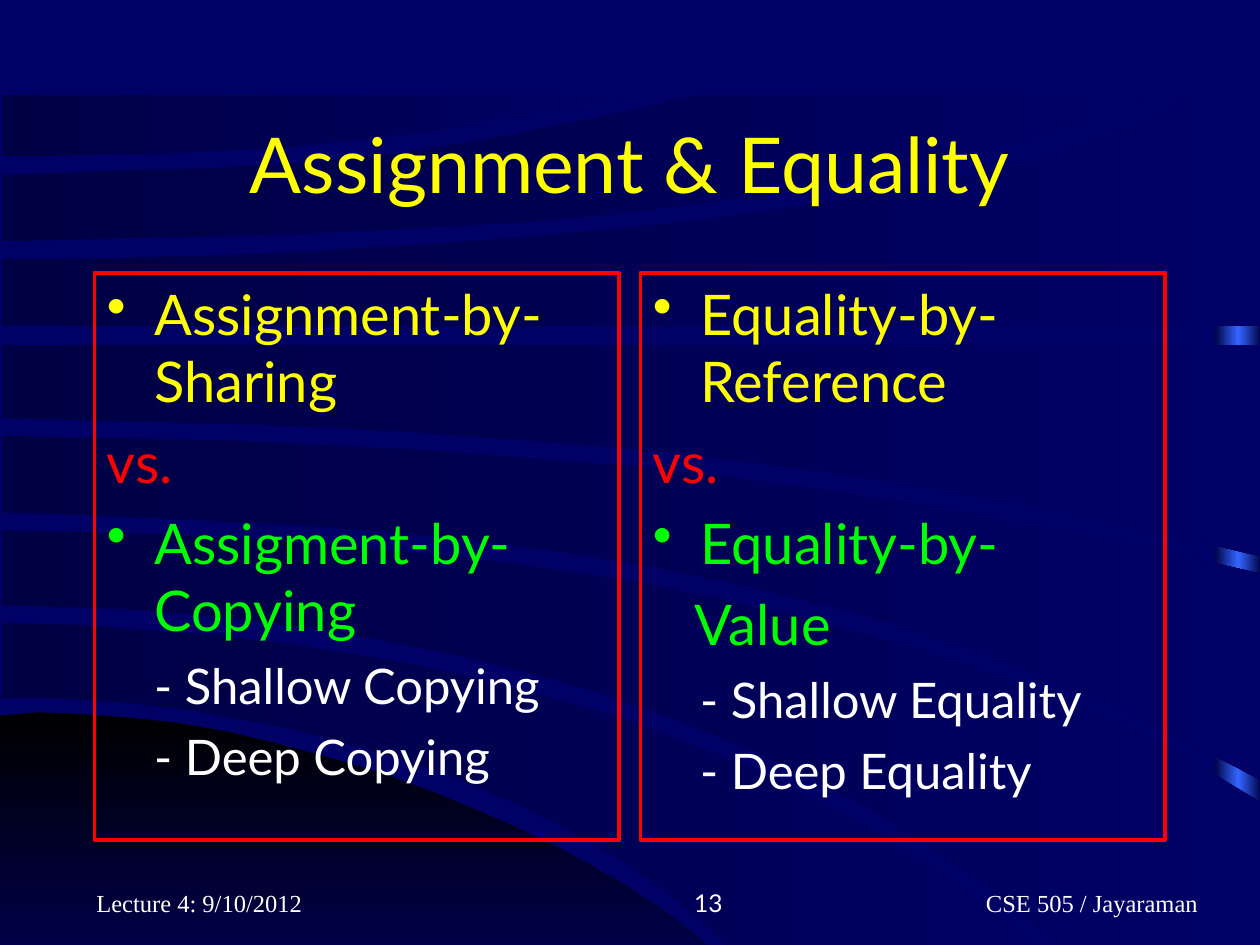
from copy import deepcopy

from lxml.etree import SubElement
from pptx import Presentation
from pptx.dml.color import RGBColor
from pptx.enum.shapes import MSO_SHAPE as Kind
from pptx.enum.text import MSO_ANCHOR as Anchor, PP_ALIGN as Align
from pptx.oxml.ns import qn
from pptx.util import Pt

NAVY, DARK, BLACK, BLUE = "000066", "000044", "000000", "3366FF"
YELLOW, RED, GREEN, WHITE = "FFFF00", "FF0000", "00FF00", "FFFFFF"
SANS, SERIF = "Lato", "Times New Roman"

STYLES = {
    "point": dict(size=32, left=27, first=-27, before=8, mark="•"),
    "plain": dict(size=32, before=8),
    "rest": dict(size=32, left=24, before=8),
    "sub": dict(size=28, left=27, before=7),
}
COLUMNS = [
    [("Assignment-by-Sharing", "point", YELLOW),
     ("vs.", "plain", RED),
     ("Assigment-by-Copying", "point", GREEN),
     ("- Shallow Copying", "sub", WHITE),
     ("- Deep Copying", "sub", WHITE)],
    [("Equality-by-Reference", "point", YELLOW),
     ("vs.", "plain", RED),
     ("Equality-by-", "point", GREEN),
     ("Value", "rest", GREEN),
     ("- Shallow Equality", "sub", WHITE),
     ("- Deep Equality", "sub", WHITE)],
]
# Text, left, width, font, alignment, left margin
FOOTERS = [
    ("CSE 505 / Jayaraman", 474, 228, SERIF, Align.CENTER, 72),
    ("13", 270, 150, SANS, Align.RIGHT, 0),
    ("Lecture 4: 9/10/2012", 48, 150, SERIF, Align.LEFT, 0),
]

# Outlines are lists of edges: four points make a curve, fewer make corners
HILL = [[(0, 409), (158, 425), (333, 492), (453, 595)], [(0, 595)]]
BANDS = [
    [[(1, 356), (242, 381), (464, 456), (644, 594)],
     [(463, 594), (328, 476), (160, 415), (1, 399)]],
    [[(1, 303), (248, 317), (500, 364), (721, 459)], [(721, 594)],
     [(655, 594), (459, 442), (225, 367), (1, 346)]],
    [[(1, 249), (253, 258), (477, 281), (721, 328)],
     [(721, 446), (492, 351), (253, 307), (1, 293)]],
    [[(1, 197), (721, 197)],
     [(721, 318), (477, 270), (240, 247), (1, 239)]],
    [[(1, 148), (269, 138), (529, 106), (680, 54)],
     [(721, 54), (721, 186), (1, 186)]],
    [[(1, 100), (143, 95), (251, 84), (401, 54)],
     [(661, 54), (443, 110), (223, 131), (1, 138)]],
    [[(1, 54)], [(361, 54), (250, 74), (146, 85), (1, 89)]],
]


def rgb(code):
    return RGBColor.from_string(code)


def bend(edge, steps=18):
    """Points of the cubic that passes through the four points of an edge."""
    if len(edge) < 4:
        return edge
    points = []
    for i in range(steps + 1):
        t = 3 * i / steps
        parts = (-(t - 1) * (t - 2) * (t - 3) / 6, t * (t - 2) * (t - 3) / 2,
                 -t * (t - 1) * (t - 3) / 2, t * (t - 1) * (t - 2) / 6)
        points.append(tuple(sum(w * v for w, v in zip(parts, axis))
                            for axis in zip(*edge)))
    return points


def trace(slide, edges):
    """Draw a closed outline."""
    points = [point for edge in edges for point in bend(edge)]
    pen = slide.shapes.build_freeform(*points[0], scale=Pt(1))
    pen.add_line_segments(points[1:], close=True)
    return pen.convert_to_shape()


def shade(shape, colors, angle=0):
    """Fill with evenly spaced gradient colours, no line and no shadow."""
    shape.shadow.inherit = False
    shape.line.fill.background()
    fill = shape.fill
    fill.gradient()
    fill.gradient_angle = angle
    stops = shape._element.find(".//" + qn("a:gsLst"))
    while len(stops) < len(colors):
        stops.append(deepcopy(stops[0]))
    for i, (stop, color) in enumerate(zip(fill.gradient_stops, colors)):
        stop.position = i / (len(colors) - 1)
        stop.color.rgb = rgb(color)


def add_box(slide, place, anchor):
    box = slide.shapes.add_textbox(*map(Pt, place))
    for key, value in {"word_wrap": True, "vertical_anchor": anchor}.items():
        setattr(box.text_frame, key, value)
    return box


def write(par, text, color, size, font=SANS, align=Align.LEFT,
          left=0, first=0, before=0, mark=None):
    props = par._p.get_or_add_pPr()
    props.set("marL", str(Pt(left)))
    props.set("indent", str(Pt(first)))
    if mark:
        SubElement(props, qn("a:buChar"), char=mark)
    par.alignment = align
    par.space_before = Pt(before)
    run = par.add_run()
    run.text = text
    run.font.color.rgb = rgb(color)
    for key, value in {"size": Pt(size), "name": font}.items():
        setattr(run.font, key, value)


def add_column(slide, place, items):
    box = add_box(slide, place, Anchor.TOP)
    box.line.color.rgb = rgb(RED)
    box.line.width = Pt(2.25)
    frame = box.text_frame
    for i, (text, style, color) in enumerate(items):
        par = frame.add_paragraph() if i else frame.paragraphs[0]
        look = STYLES[style] if i else {**STYLES[style], "before": 0}
        write(par, text, color, **look)


def main():
    deck = Presentation()
    deck.slide_width, deck.slide_height = Pt(720), Pt(540)
    slide = deck.slides.add_slide(deck.slide_layouts[6])
    back = slide.background.fill
    back.solid()
    back.fore_color.rgb = rgb(NAVY)

    strip = slide.shapes.add_shape(Kind.RECTANGLE, *map(Pt, (694, 55, 27, 540)))
    shade(strip, [DARK, BLUE, DARK])
    shade(trace(slide, HILL), [BLACK, NAVY], 270)
    for band in BANDS:
        shade(trace(slide, band), [DARK, NAVY])

    title = add_box(slide, (54, 48, 612, 90), Anchor.MIDDLE)
    write(title.text_frame.paragraphs[0], "Assignment & Equality", YELLOW, 44,
          align=Align.CENTER)
    wide, gap = 300, 12
    for i, items in enumerate(COLUMNS):
        add_column(slide, (54 + i * (wide + gap), 156, wide, 324), items)
    for text, x, width, font, align, left in FOOTERS:
        foot = add_box(slide, (x, 492, width, 36), Anchor.BOTTOM)
        write(foot.text_frame.paragraphs[0], text, WHITE, 14, font, align, left)
    deck.save("out.pptx")


if __name__ == "__main__":
    main()
